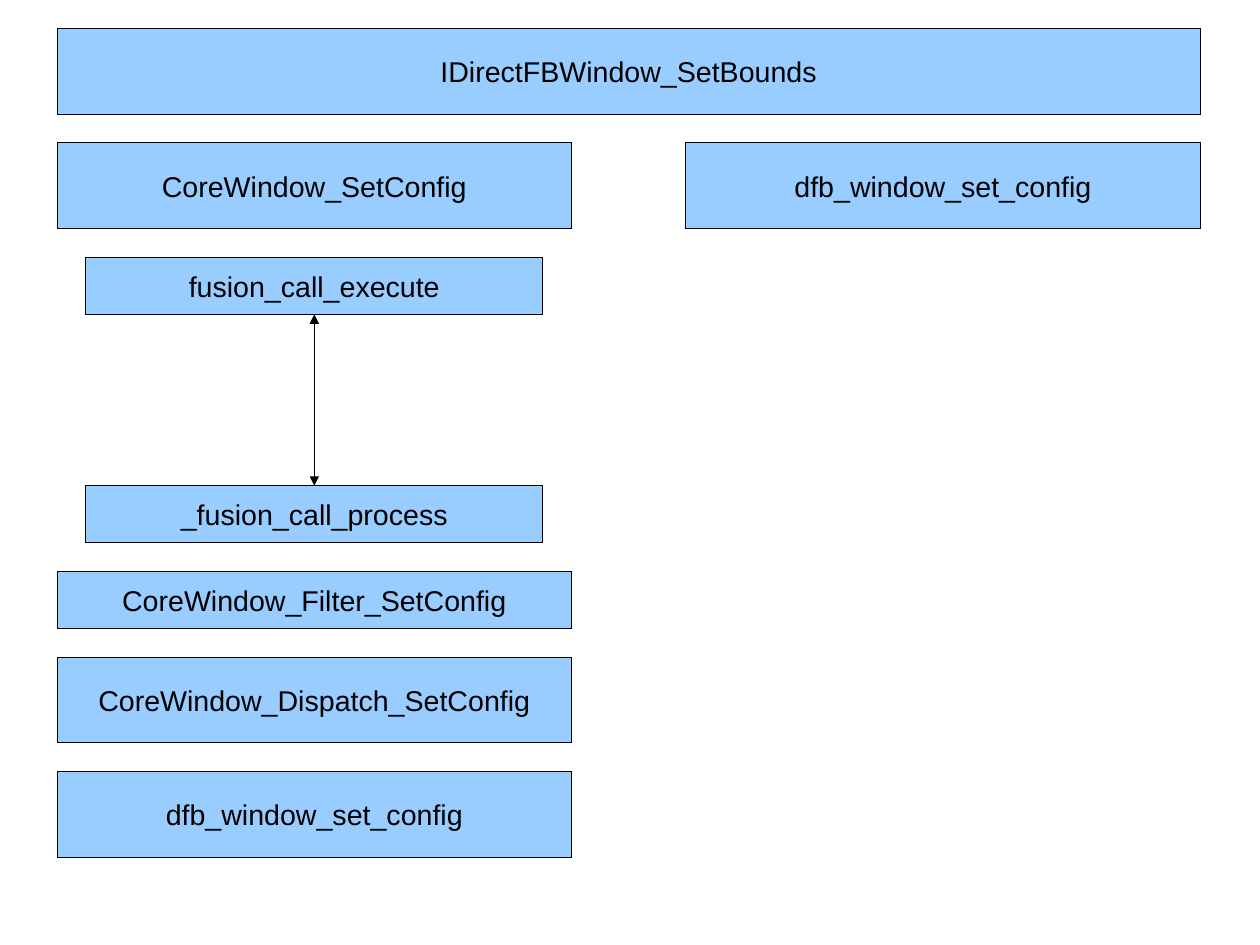
from pptx import Presentation
from pptx.dml.color import RGBColor
from pptx.enum import shapes, text
from pptx.oxml.ns import qn
from pptx.util import Inches, Pt
from lxml import etree

SKY = RGBColor(0x99, 0xCC, 0xFF)
BLACK = RGBColor(0, 0, 0)

PAGE = (28 / 2.54, 21 / 2.54)  # 28 by 21 cm
LEFT, TOP, WIDE, HALF = 0.5, 0.25, 10, 4.5
GAP, CALL_GAP, INSET = 0.25, 1.5, 0.25

API = "IDirectFBWindow_SetBounds"
DIRECT = "dfb_window_set_config"
# Left column: name, height, inset on each side, gap below
STACK = [
    ("CoreWindow_SetConfig", 0.75, 0, GAP),
    ("fusion_call_execute", 0.5, INSET, CALL_GAP),
    ("_fusion_call_process", 0.5, INSET, GAP),
    ("CoreWindow_Filter_SetConfig", 0.5, 0, GAP),
    ("CoreWindow_Dispatch_SetConfig", 0.75, 0, GAP),
    ("dfb_window_set_config", 0.75, 0, GAP),
]


def hairline(shape):
    """Give a black line of explicit zero width, and return its XML."""
    shape.line.color.rgb = BLACK
    line = shape._element.spPr.find(qn("a:ln"))
    line.set("w", "0")
    return line


def add_box(slide, name, x, y, w, h):
    box = slide.shapes.add_shape(shapes.MSO_SHAPE.RECTANGLE,
                                 Inches(x), Inches(y), Inches(w), Inches(h))
    box.shadow.inherit = False
    box.fill.solid()
    box.fill.fore_color.rgb = SKY
    hairline(box)
    frame = box.text_frame
    frame.text = name
    frame.word_wrap = True
    frame.vertical_anchor = text.MSO_ANCHOR.MIDDLE
    label = frame.paragraphs[0]
    label.alignment = text.PP_ALIGN.CENTER
    font = label.runs[0].font
    font.name, font.size = "Arial", Pt(18)
    font.color.rgb = BLACK
    return box


def join(slide, upper, lower):
    """Draw a two-headed arrow between two stacked boxes."""
    arrow = slide.shapes.add_connector(shapes.MSO_CONNECTOR.STRAIGHT, 0, 0, 0, 0)
    arrow.begin_connect(lower, 0)
    arrow.end_connect(upper, 2)
    line = hairline(arrow)
    for end in ("a:headEnd", "a:tailEnd"):
        etree.SubElement(line, qn(end), type="triangle")
    etree.SubElement(arrow._element.spPr, qn("a:effectLst"))


def main():
    deck = Presentation()
    deck.slide_width, deck.slide_height = map(Inches, PAGE)
    slide = deck.slides.add_slide(deck.slide_layouts[6])

    add_box(slide, API, LEFT, TOP, WIDE, 0.75)
    y = TOP + 0.75 + GAP
    add_box(slide, DIRECT, LEFT + WIDE - HALF, y, HALF, 0.75)
    boxes = {}
    for name, high, inset, gap in STACK:
        boxes[name] = add_box(slide, name, LEFT + inset, y, HALF - 2 * inset, high)
        y += high + gap
    join(slide, boxes["fusion_call_execute"], boxes["_fusion_call_process"])

    deck.save("out.pptx")


if __name__ == "__main__":
    main()
